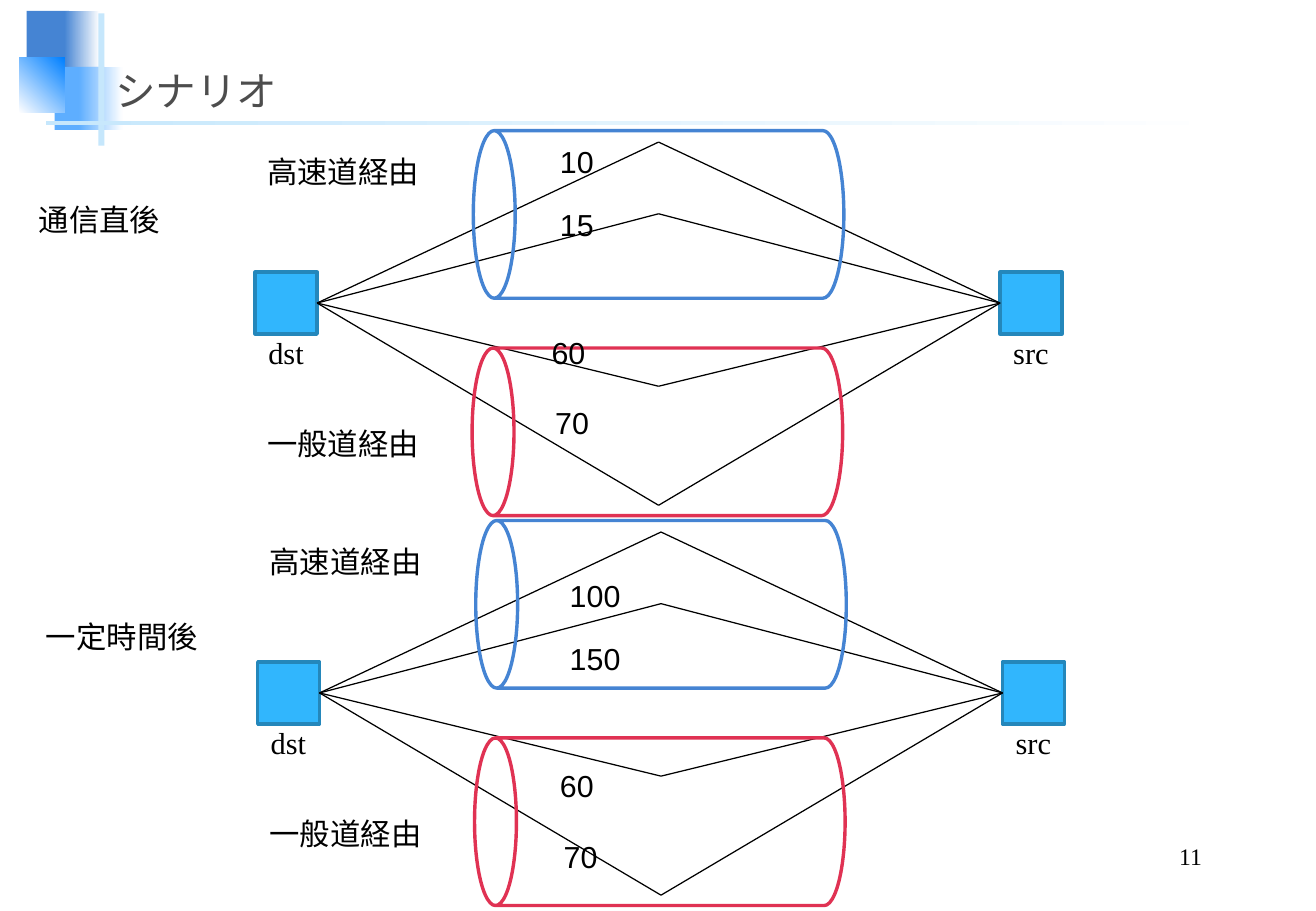
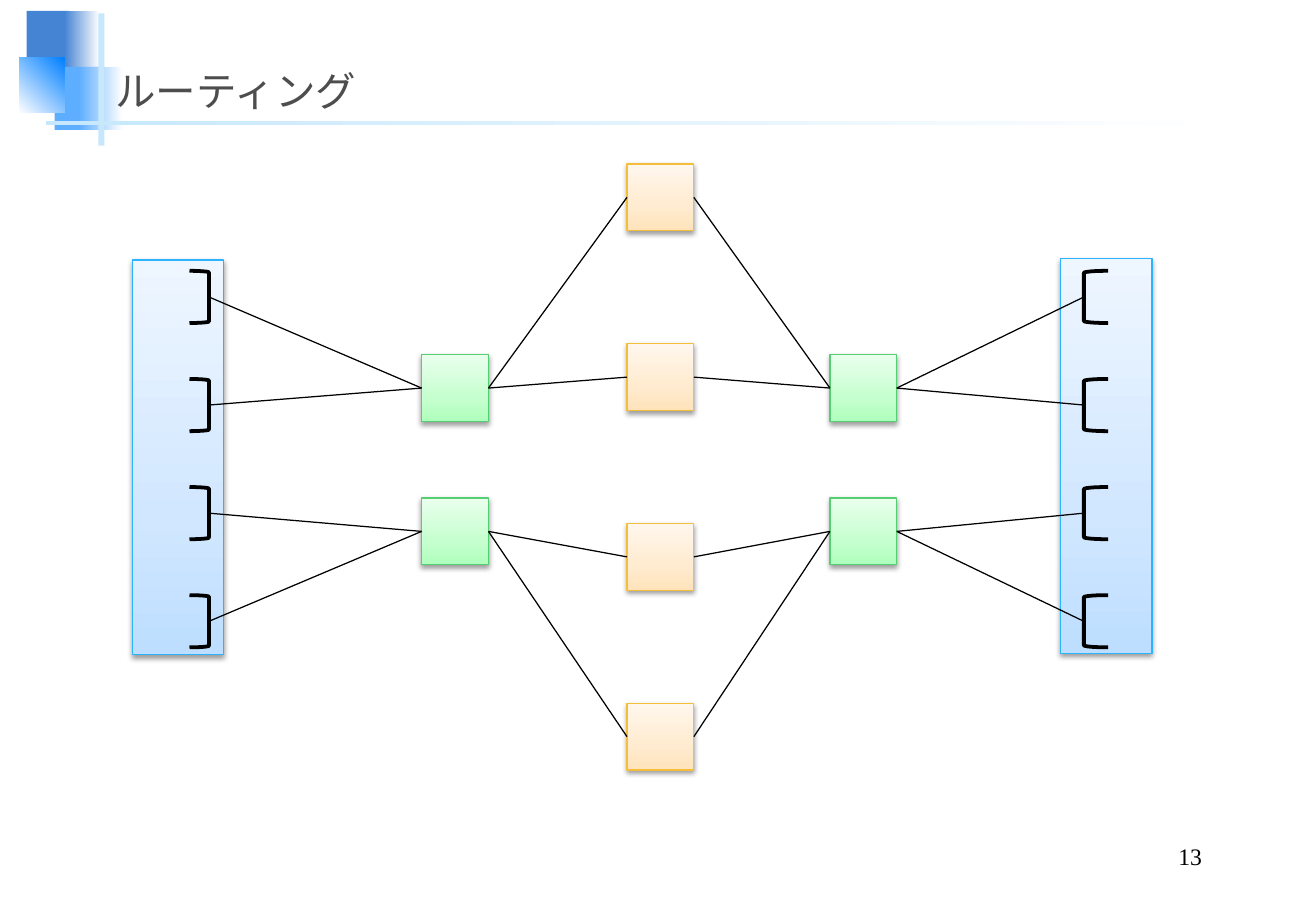
from dataclasses import dataclass
from typing import NamedTuple, Optional

from pptx import Presentation
from pptx.dml.color import RGBColor
from pptx.enum.shapes import MSO_CONNECTOR, MSO_SHAPE as SHAPE
from pptx.enum.text import MSO_ANCHOR, MSO_AUTO_SIZE, PP_ALIGN
from pptx.oxml import parse_xml
from pptx.oxml.ns import nsdecls, qn
from pptx.util import Inches, Pt

COLORS = {
    "black": "000000", "white": "FFFFFF", "title": "4D4D4D",
    "blue": "4584D3", "sky": "5EAEFF", "azure": "0080FF", "pale": "C6E7FC",
    "node": "31B6FD", "node_edge": "2487BB", "red": "E03253",
}
SERIF, SANS = "Times New Roman", "Arial"
TOP, LEFT, BOTTOM, RIGHT = range(4)


@dataclass(frozen=True)
class Gradient:
    stops: tuple[tuple[int, str], ...]
    angle: int  # degrees, clockwise


@dataclass(frozen=True)
class Style:
    fill: Optional[str | Gradient] = None
    line: Optional[str] = None
    weight: float = 0.75
    shadow: bool = False


class Box(NamedTuple):
    x: float
    y: float
    w: float
    h: float


class Label(NamedTuple):
    text: str
    x: float
    y: float
    w: float
    font: str = SANS


class Anchor(NamedTuple):
    """A connector end: a point, or the middle of a shape's side."""
    x: float = 0
    y: float = 0
    shape: Optional[object] = None
    side: int = 0


@dataclass(frozen=True)
class Scenario:
    dx: float
    dy: float
    labels: tuple[Label, ...]


def fade(start: str, end: str, angle: int = 0) -> Gradient:
    return Gradient(((0, COLORS[start]), (100, COLORS[end])), angle)


def soft(dark: str, middle: str, light: str, line: str) -> Style:
    """Outlined style that fades upwards and casts a shadow."""
    stops = ((0, dark), (35, middle), (100, light))
    return Style(Gradient(stops, 270), line, shadow=True)


PANEL = soft("BDDEFF", "D1E7FF", "EEF6FF", "2BB4FC")
GREEN = soft("AEFFBC", "C6FFCF", "E9FFEC", "56CE74")
ORANGE = soft("FFE3BB", "FFEBCF", "FFF7ED", "F4BE3A")
NODE = Style(COLORS["node"], COLORS["node_edge"], 2)
BRACKET = Style(line=COLORS["black"], weight=2.25)

DECOR = (
    (Box(0.22, 0.09, 0.35, 0.52), COLORS["blue"]),
    (Box(0.53, 0.09, 0.29, 0.52), fade("blue", "white")),
    (Box(0.45, 0.55, 0.41, 0.52), COLORS["sky"]),
    (Box(0.65, 0.55, 0.36, 0.52), fade("sky", "white")),
    (Box(0.16, 0.47, 0.37, 0.46), fade("white", "azure", 315)),
    (Box(0.81, 0.11, 0.05, 1.09), COLORS["pale"]),
    (Box(0.38, 1, 9.75, 0.03), fade("pale", "white")),
)

NODE_LABELS = (
    Label("dst", 2.11, 2.7, 0.5, SERIF),
    Label("src", 8.24, 2.7, 0.5, SERIF),
    Label("高速道経由", 2.1, 1.21, 1.46),
    Label("一般道経由", 2.1, 3.45, 1.46),
)
SCENARIOS = (
    Scenario(0, 0, (
        Label("通信直後", 0.22, 1.61, 1.21),
        Label("10", 4.51, 1.13, 0.48),
        Label("15", 4.51, 1.65, 0.48),
        Label("60", 4.44, 2.7, 0.48),
        Label("70", 4.47, 3.28, 0.48),
    )),
    Scenario(0.02, 3.21, (
        Label("一定時間後", 0.28, 5.04, 1.46),
        Label("100", 4.59, 4.7, 0.62),
        Label("150", 4.59, 5.22, 0.62),
        Label("60", 4.51, 6.27, 0.48),
        Label("70", 4.54, 6.85, 0.48),
    )),
)


def rgb(color: str) -> RGBColor:
    return RGBColor.from_string(color)


def fill_gradient(sp, gradient: Gradient) -> None:
    stops = "".join(
        f'<a:gs pos="{pos * 1000}"><a:srgbClr val="{color}"/></a:gs>'
        for pos, color in gradient.stops)
    sp.fill.background()
    spPr = sp.element.spPr
    spPr.replace(spPr.find(qn("a:noFill")), parse_xml(
        f'<a:gradFill {nsdecls("a")} rotWithShape="1"><a:gsLst>{stops}</a:gsLst>'
        f'<a:lin ang="{gradient.angle * 60000}" scaled="0"/></a:gradFill>'))


def cast_shadow(sp) -> None:
    sp.element.spPr.find(qn("a:effectLst")).append(parse_xml(
        f'<a:outerShdw {nsdecls("a")} blurRad="40000" dist="20000" dir="5400000" '
        f'rotWithShape="0"><a:srgbClr val="{COLORS["black"]}">'
        '<a:alpha val="38000"/></a:srgbClr></a:outerShdw>'))


def add_shape(slide, kind: SHAPE, box: Box, style: Style):
    sp = slide.shapes.add_shape(kind, *map(Inches, box))
    sp.shadow.inherit = False
    if isinstance(style.fill, Gradient):
        fill_gradient(sp, style.fill)
    elif style.fill:
        sp.fill.solid()
        sp.fill.fore_color.rgb = rgb(style.fill)
    else:
        sp.fill.background()
    if style.line:
        sp.line.color.rgb = rgb(style.line)
        sp.line.width = Pt(style.weight)
    else:
        sp.line.fill.background()
    if style.shadow:
        cast_shadow(sp)
    return sp


def add_line(slide, start: Anchor, end: Anchor) -> None:
    line = slide.shapes.add_connector(
        MSO_CONNECTOR.STRAIGHT, *map(Inches, (start.x, start.y, end.x, end.y)))
    if start.shape is not None:
        line.begin_connect(start.shape, start.side)
    if end.shape is not None:
        line.end_connect(end.shape, end.side)
    line.line.color.rgb = rgb(COLORS["black"])
    line.line.width = Pt(0.75)
    line.element.spPr.append(parse_xml(f'<a:effectLst {nsdecls("a")}/>'))


def side_of(sp, side: int) -> Anchor:
    return Anchor(shape=sp, side=side)


def add_run(p, text: str, size: int, font: str, color: str) -> None:
    r = p.add_run()
    r.text = text
    r.font.size = Pt(size)
    r.font.name = font
    r.font.color.rgb = rgb(COLORS[color])


def add_label(slide, label: Label, dx: float = 0, dy: float = 0) -> None:
    box = Box(label.x + dx, label.y + dy, label.w, 0.4)
    tf = slide.shapes.add_textbox(*map(Inches, box)).text_frame
    tf.word_wrap = False
    tf.auto_size = MSO_AUTO_SIZE.SHAPE_TO_FIT_TEXT
    add_run(tf.paragraphs[0], label.text, 18, label.font, "black")


def add_slide(prs, layout, title: str, number: int):
    slide = prs.slides.add_slide(layout)
    tf = slide.shapes.title.text_frame
    tf.vertical_anchor = MSO_ANCHOR.BOTTOM
    p = tf.paragraphs[0]
    p.alignment = PP_ALIGN.LEFT
    add_run(p, title, 24, SERIF, "title")

    tf = slide.shapes.add_textbox(*map(Inches, Box(7.73, 6.9, 2.26, 0.31))).text_frame
    tf.word_wrap = True
    tf.vertical_anchor = MSO_ANCHOR.BOTTOM
    p = tf.paragraphs[0]
    p.alignment = PP_ALIGN.RIGHT
    add_run(p, str(number), 14, SERIF, "black")
    return slide


def decorate_layout(layout, slide) -> None:
    """Place the title and move the corner decoration onto the layout."""
    title = layout.placeholders[0]
    title.left, title.top, title.width, title.height = map(
        Inches, Box(0.85, 0.36, 9.29, 0.63))
    for shape_id, (box, fill) in enumerate(DECOR, start=100):
        element = add_shape(slide, SHAPE.RECTANGLE, box, Style(fill)).element
        element.nvSpPr.cNvPr.set("id", str(shape_id))
        layout.shapes.element.append(element)


def draw_scenario(slide, scenario: Scenario) -> None:
    dx, dy = scenario.dx, scenario.dy
    dst, src = (
        add_shape(slide, SHAPE.RECTANGLE, Box(x + dx, 2.24 + dy, 0.51, 0.51), NODE)
        for x in (2.1, 8.23))
    for y in (1.17, 4.16, 3.18, 1.76):
        bend = Anchor(5.42 + dx, y + dy)
        add_line(slide, side_of(dst, RIGHT), bend)
        add_line(slide, bend, side_of(src, LEFT))
    for x, y, color in ((4.73, 0.24, "blue"), (4.72, 2.03, "red")):
        pipe = add_shape(slide, SHAPE.CAN, Box(x + dx, y + dy, 1.38, 3.05),
                         Style(line=COLORS[color], weight=2))
        pipe.rotation = 270
    for label in NODE_LABELS:
        add_label(slide, label, dx, dy)
    for label in scenario.labels:
        add_label(slide, label)


def draw_routing(slide) -> None:
    def square(x: float, y: float, style: Style):
        return add_shape(slide, SHAPE.RECTANGLE, Box(x, y, 0.55, 0.55), style)

    for x, y in ((1.09, 2.14), (8.73, 2.13)):
        add_shape(slide, SHAPE.RECTANGLE, Box(x, y, 0.75, 3.25), PANEL)
    left, right = ([square(x, y, GREEN) for y in (2.92, 4.1)] for x in (3.47, 6.83))

    for i in range(4):
        port_y = 2.23 + 0.89 * i
        add_shape(slide, SHAPE.RIGHT_BRACKET, Box(1.56, port_y, 0.16, 0.43), BRACKET)
        add_shape(slide, SHAPE.LEFT_BRACKET, Box(8.92, port_y, 0.2, 0.43), BRACKET)
        relay = square(5.16, 1.35 + 1.48 * i, ORANGE)
        near, far = left[i // 2], right[i // 2]
        middle = port_y + 0.43 / 2
        add_line(slide, Anchor(1.72, middle), side_of(near, LEFT))
        add_line(slide, side_of(near, RIGHT), side_of(relay, LEFT))
        add_line(slide, side_of(relay, RIGHT), side_of(far, LEFT))
        add_line(slide, side_of(far, RIGHT), Anchor(8.92, middle))


def main() -> None:
    prs = Presentation()
    prs.slide_width, prs.slide_height = Inches(10.83), Inches(7.5)
    layout = prs.slide_layouts[5]

    slide = add_slide(prs, layout, "シナリオ", 11)
    decorate_layout(layout, slide)
    for scenario in SCENARIOS:
        draw_scenario(slide, scenario)

    draw_routing(add_slide(prs, layout, "ルーティング", 13))
    prs.save("out.pptx")


if __name__ == "__main__":
    main()
